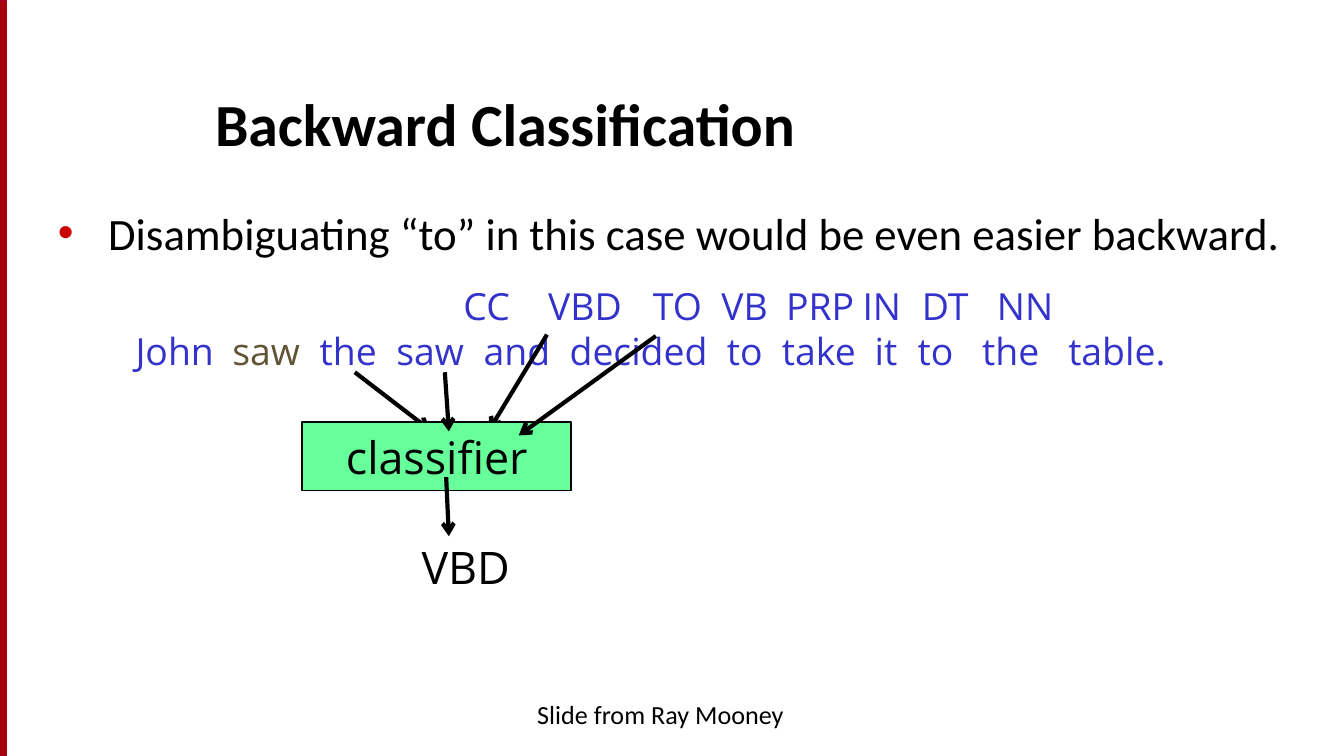
from dataclasses import dataclass

from lxml import etree
from pptx import Presentation, util as u
from pptx.dml.color import RGBColor
from pptx.enum import shapes, text
from pptx.oxml import ns


@dataclass(frozen=True)
class Theme:
    heading: str = "Calibri"
    diagram: str = "Open Sans"
    title: int = 32
    large: int = 24
    medium: int = 20
    small: int = 14
    ink: str = "000000"
    sentence: str = "3333CC"
    pending: str = "605435"
    box: str = "66FF99"
    bullet: str = "CC0000"
    bar: str = "A40508"
    bar_edge: str = "A4001D"


THEME = Theme()
COLUMNS, ROWS = 100, 56.25  # square grid cells, a tenth of an inch each

# Each word or tag with its tab stop, in columns from the text's left edge
TAGS = [("CC", 24.4), ("VBD", 30.7), ("TO", 38.5), ("VB", 43.6),
        ("PRP", 48.4), ("IN", 54.1), ("DT", 58.5), ("NN", 64.1)]
WORDS = [("John", 0), ("saw", 7.2), ("the", 13.7), ("saw", 19.4),
         ("and", 25.9), ("decided", 32.3), ("to", 44), ("take", 48.1),
         ("it", 55), ("to", 58.2), ("the", 63), ("table.", 69.4)]
PENDING_WORD = 1


def cells(count):
    return u.Inches(count / 10)


def place(shape, area):
    shape.left, shape.top, shape.width, shape.height = map(cells, area)


def add_run(paragraph, words, size, color=THEME.ink, font=THEME.diagram, bold=False):
    run = paragraph.add_run()
    run.text = words
    run.font.name, run.font.size, run.font.bold = font, u.Pt(size), bold
    run.font.color.rgb = RGBColor.from_string(color)


def add_box(slide, area, fill, edge, weight):
    box = slide.shapes.add_shape(shapes.MSO_SHAPE.RECTANGLE, *map(cells, area))
    box.shadow.inherit = False
    box.fill.solid()
    box.fill.fore_color.rgb = RGBColor.from_string(fill)
    box.line.color.rgb = RGBColor.from_string(edge)
    box.line.width = u.Pt(weight)
    return box


def add_text(slide, area):
    frame = slide.shapes.add_textbox(*map(cells, area)).text_frame
    frame.word_wrap = True
    return frame


def write_centered(frame, words, size, font=THEME.diagram):
    paragraph = frame.paragraphs[0]
    paragraph.alignment = text.PP_ALIGN.CENTER
    add_run(paragraph, words, size, font=font)


def add_arrow(slide, start, end):
    arrow = slide.shapes.add_connector(
        shapes.MSO_CONNECTOR.STRAIGHT, *map(cells, start + end))
    arrow.line.color.rgb = RGBColor.from_string(THEME.ink)
    arrow.line.width = u.Pt(2.25)
    etree.SubElement(arrow.line._get_or_add_ln(), ns.qn("a:tailEnd"), type="arrow")
    etree.SubElement(arrow._element.spPr, ns.qn("a:effectLst"))


def fill_title(title, words):
    place(title, (15, 4.2, 81.7, 8.1))
    title.text_frame.vertical_anchor = text.MSO_ANCHOR.BOTTOM
    paragraph = title.text_frame.paragraphs[0]
    paragraph.alignment = text.PP_ALIGN.LEFT
    add_run(paragraph, words, THEME.title, font=THEME.heading, bold=True)


def fill_body(body, words):
    place(body, (3.3, 14.8, 93.3, 36.5))
    body.text_frame.auto_size = text.MSO_AUTO_SIZE.NONE
    paragraph = body.text_frame.paragraphs[0]
    add_run(paragraph, words, THEME.large, font=THEME.heading)
    properties = paragraph._p.get_or_add_pPr()
    properties.set("marL", str(cells(3.75)))
    properties.set("indent", str(-cells(3.75)))
    color = etree.SubElement(properties, ns.qn("a:buClr"))
    etree.SubElement(color, ns.qn("a:srgbClr"), val=THEME.bullet)
    etree.SubElement(properties, ns.qn("a:buFont"), typeface="Arial")
    etree.SubElement(properties, ns.qn("a:buChar"), char="•")


def write_tabbed(paragraph, entries, highlighted=None):
    """Write each entry at its own tab stop."""
    stops = etree.SubElement(paragraph._p.get_or_add_pPr(), ns.qn("a:tabLst"))
    for index, (word, stop) in enumerate(entries):
        if stop:
            etree.SubElement(stops, ns.qn("a:tab"), pos=str(cells(stop)), algn="l")
        color = THEME.pending if index == highlighted else THEME.sentence
        add_run(paragraph, ("\t" if stop else "") + word, THEME.medium, color)


def main():
    presentation = Presentation()
    presentation.slide_width, presentation.slide_height = cells(COLUMNS), cells(ROWS)
    slide = presentation.slides.add_slide(presentation.slide_layouts[1])

    # Side bar, heading and statement
    add_box(slide, (0, 0, 0.5, ROWS), THEME.bar, THEME.bar_edge, 0.75)
    fill_title(slide.shapes.title, "Backward Classification")
    fill_body(slide.placeholders[1],
              "Disambiguating “to” in this case would be even easier backward.")
    write_centered(add_text(slide, (33.3, 51.5, 31.7, 3.8)),
                   "Slide from Ray Mooney", THEME.small, THEME.heading)

    # Tagged sentence
    sentence = add_text(slide, (9.1, 20.6, 85.2, 7.8))
    write_tabbed(sentence.paragraphs[0], TAGS)
    write_tabbed(sentence.add_paragraph(), WORDS, PENDING_WORD)

    # Classifier, with two inputs behind it and the rest in front
    for start, end in [((26.4, 27.7), (32, 32)), ((40.7, 24.9), (36.4, 32))]:
        add_arrow(slide, start, end)
    classifier = add_box(slide, (22.5, 31.4, 20, 5.1), THEME.box, THEME.ink, 1)
    classifier.text_frame.vertical_anchor = text.MSO_ANCHOR.MIDDLE
    write_centered(classifier.text_frame, "classifier", THEME.large)
    for start, end in [((33.1, 27.7), (33.4, 32.1)),
                       ((33.2, 35.5), (33.4, 39.9)),
                       ((48.8, 25), (38.6, 32.4))]:
        add_arrow(slide, start, end)

    # Predicted tag
    write_centered(add_text(slide, (29.4, 39.7, 10.5, 5.1)), "VBD", THEME.large)

    presentation.save("out.pptx")


main()
